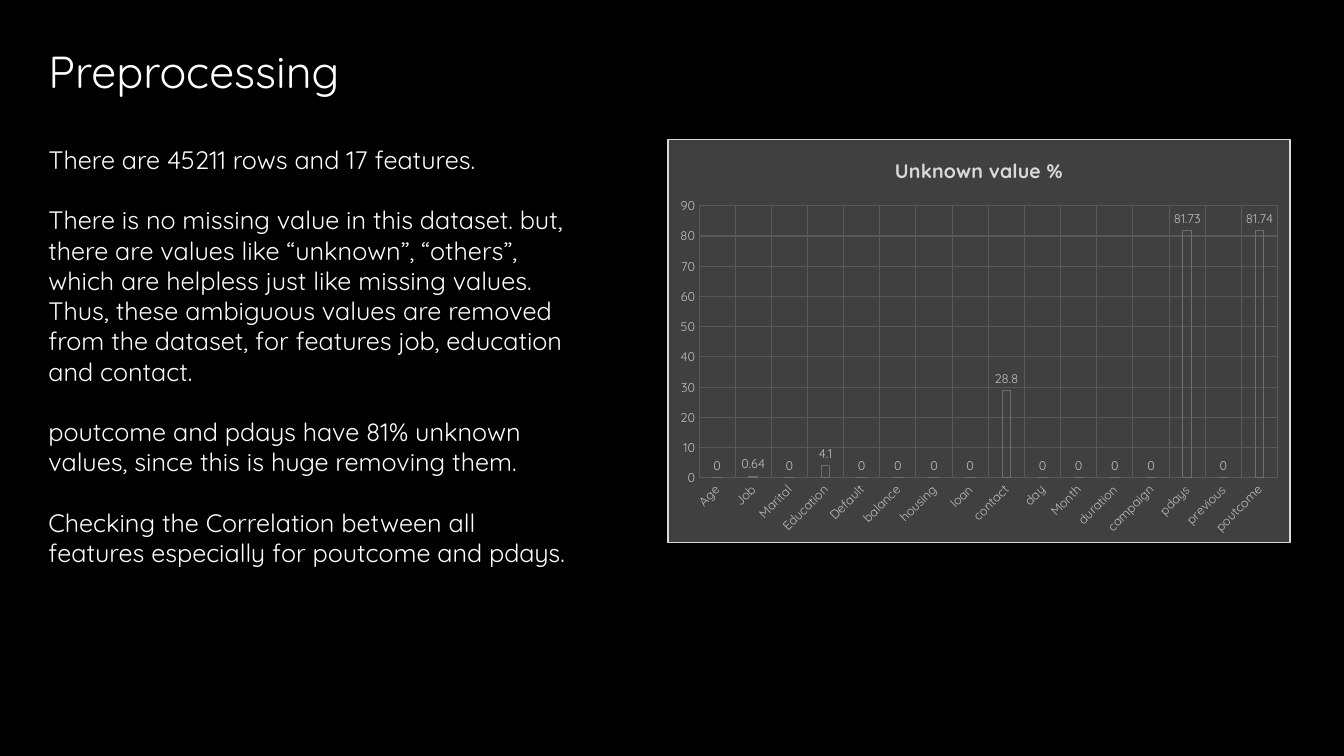
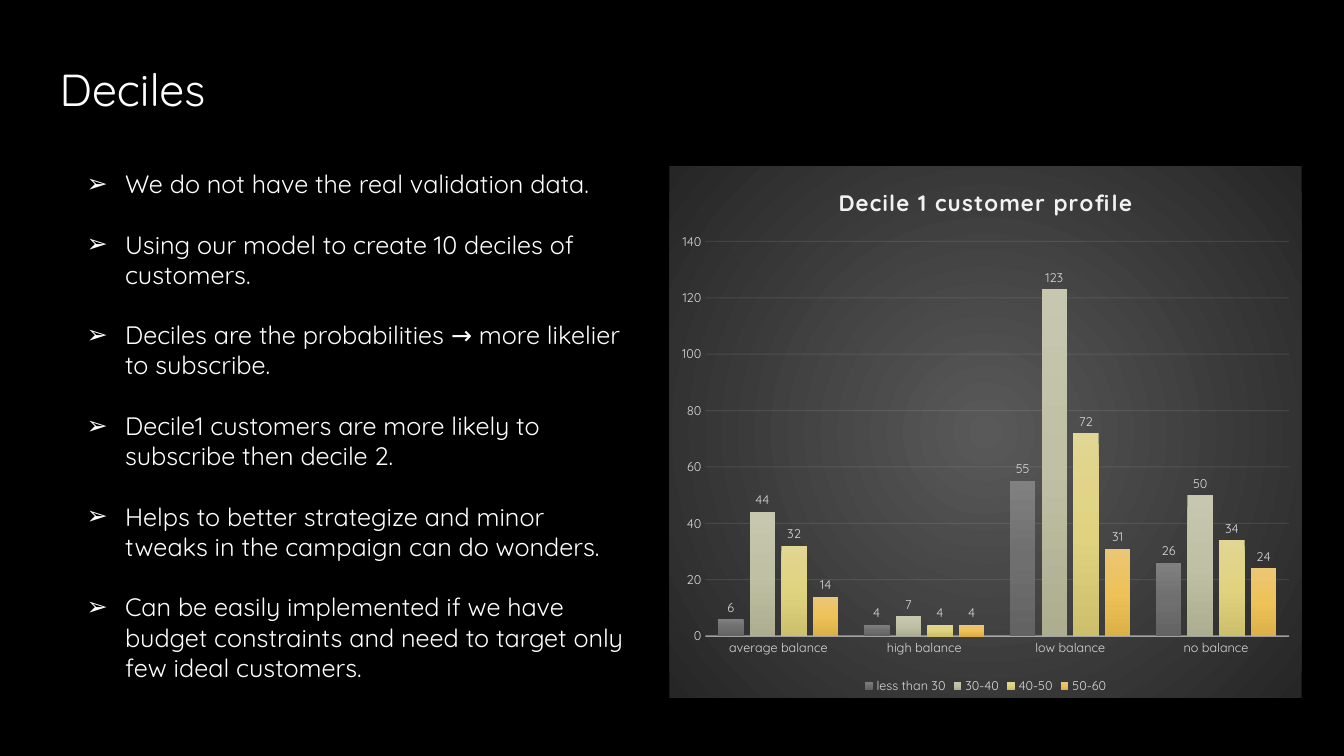
"""Build two dark slides, each with a title, a text column and a column chart."""
from dataclasses import dataclass

from pptx import Presentation
from pptx import oxml
from pptx import util as u
from pptx.chart import data as cd
from pptx.chart.chart import Chart
from pptx.dml.color import RGBColor
from pptx.dml.line import LineFormat
from pptx.enum import chart as ch, text
from pptx.oxml import ns

FONT = "Quicksand"
COLORS = {
    "background": "000000",
    "text": "FFFFFF",
    "panel": "404040",
    "border": "D9D9D9",
    "grid": "595959",
    "outline": "6F6F6F",
    "muted": "BFBFBF",
    "light": "D9D9D9",
    "heading": "F2F2F2",
}
GLOW = ("595959", "262626")
BAR_GRADIENTS = [
    ("808080", "6F6F6F", "636363"),
    ("C7C7B0", "C0C0A4", "ADAD90"),
    ("E1D693", "E0D380", "CDC06C"),
    ("EBC675", "EEC258", "DBB046"),
]
LINEAR = '<a:lin ang="5400000" scaled="0"/>'
RADIAL = '<a:path path="circle"><a:fillToRect l="50000" t="50000" r="50000" b="50000"/></a:path>'


@dataclass
class Box:
    left: float
    top: float
    width: float
    height: float

    def inches(self) -> tuple[u.Length, ...]:
        return tuple(u.Inches(n) for n in (self.left, self.top, self.width, self.height))


@dataclass
class ChartSpec:
    box: Box
    title: str
    title_size: int
    title_color: str
    label_color: str
    categories: list[str]
    series: dict[str, list[float]]
    gap: int
    overlap: int
    top_value: int
    step: int


@dataclass
class SlideSpec:
    title: str
    title_box: Box
    body: list[str]
    body_box: Box
    bullet: str
    chart: ChartSpec


PREPROCESSING = SlideSpec(
    "Preprocessing",
    Box(0.38, 0.22, 9.8, 0.96),
    [
        "There are 45211 rows and 17 features.",
        "There is no missing value in this dataset. but, there are values like “unknown”, “others”, "
        "which are helpless just like missing values. Thus, these ambiguous values are removed "
        "from the dataset, for features job, education and contact.",
        "poutcome and pdays have 81% unknown values, since this is huge removing them.",
        "Checking the Correlation between all features especially for poutcome and pdays.",
    ],
    Box(0.38, 1.38, 5.38, 4.95),
    "",
    ChartSpec(
        Box(6.62, 1.38, 6.18, 4.01), "Unknown value %", 14, "light", "muted",
        ["Age", "Job", "Marital", "Education", "Default", "balance", "housing", "loan",
         "contact", "day", "Month", "duration", "campaign", "pdays", "previous", "poutcome"],
        {"Series 1": [0, 0.64, 0, 4.1, 0, 0, 0, 0, 28.8, 0, 0, 0, 0, 81.73, 0, 81.74]},
        315, -40, 90, 10,
    ),
)
DECILES = SlideSpec(
    "Deciles",
    Box(0.49, 0.45, 8.95, 0.86),
    [
        "We do not have the real validation data.",
        "Using our model to create 10 deciles of customers.",
        "Deciles are the probabilities → more likelier to subscribe.",
        "Decile1 customers are more likely to subscribe then decile 2.",
        "Helps to better strategize and minor tweaks in the campaign can do wonders.",
        "Can be easily implemented if we have budget constraints and need to target only "
        "few ideal customers.",
    ],
    Box(0.76, 1.62, 5.63, 6.16),
    "➢",
    ChartSpec(
        Box(6.64, 1.65, 6.27, 5.27), "Decile 1 customer profile", 16, "heading", "light",
        ["average balance", "high balance", "low balance", "no balance"],
        {
            "less than 30": [6, 4, 55, 26],
            "30-40": [44, 7, 123, 50],
            "40-50": [32, 4, 72, 34],
            "50-60": [14, 4, 31, 24],
        },
        100, -24, 140, 20,
    ),
)


def rgb(name: str) -> RGBColor:
    return RGBColor.from_string(COLORS[name])


def style_font(font, size: int, color: str, bold: bool = False) -> None:
    font.name, font.size, font.bold = FONT, u.Pt(size), bold
    font.color.rgb = rgb(color)


def style_line(line: LineFormat, color: str, width: float = 0.75, opacity: int = 100) -> None:
    line.color.rgb = rgb(color)
    line.width = u.Pt(width)
    if opacity < 100:
        clr = line._get_or_add_ln().find(".//" + ns.qn("a:srgbClr"))
        clr.append(oxml.parse_xml(f'<a:alpha {ns.nsdecls("a")} val="{opacity * 1000}"/>'))


def gradient_xml(colors: tuple[str, ...], direction: str) -> str:
    stops = "".join(
        f'<a:gs pos="{100000 * i // (len(colors) - 1)}"><a:srgbClr val="{c}"/></a:gs>'
        for i, c in enumerate(colors)
    )
    return f'<a:gradFill {ns.nsdecls("a")} rotWithShape="1"><a:gsLst>{stops}</a:gsLst>{direction}</a:gradFill>'


def set_panel(chart: Chart, fill: str, line: str) -> None:
    panel = oxml.parse_xml(f'<c:spPr {ns.nsdecls("c", "a")}>{fill}{line}</c:spPr>')
    chart._chartSpace.find(ns.qn("c:chart")).addnext(panel)


def place_text(sp, box: Box, lines: list[str], size: int, anchor: text.MSO_ANCHOR,
               bullet: str = "") -> None:
    sp.left, sp.top, sp.width, sp.height = box.inches()
    tf = sp.text_frame
    tf.text = "\n".join(lines)
    tf.word_wrap = True
    tf.auto_size = text.MSO_AUTO_SIZE.NONE
    tf.vertical_anchor = anchor
    for i, p in enumerate(tf.paragraphs):
        p.alignment = text.PP_ALIGN.LEFT
        p.space_before = u.Pt(21.6 if i else 0)
        indent = u.Inches(0.38 if bullet else 0)
        pPr = p._p.get_or_add_pPr()
        pPr.set("marL", str(indent))
        pPr.set("indent", str(-indent))
        mark = f'buChar {ns.nsdecls("a")} char="{bullet}"' if bullet else f'buNone {ns.nsdecls("a")}'
        pPr.append(oxml.parse_xml(f"<a:{mark}/>"))
        for r in p.runs:
            style_font(r.font, size, "text")


def add_column_chart(s, spec: ChartSpec) -> Chart:
    data = cd.CategoryChartData()
    data.categories = spec.categories
    for name, values in spec.series.items():
        data.add_series(name, values)
    chart = s.shapes.add_chart(ch.XL_CHART_TYPE.COLUMN_CLUSTERED, *spec.box.inches(), data).chart
    style_font(chart.font, 10, "text")
    chart.has_legend = False
    chart.has_title = True
    tf = chart.chart_title.text_frame
    tf.text = spec.title
    style_font(tf.paragraphs[0].runs[0].font, spec.title_size, spec.title_color, bold=True)
    chart.chart_title.include_in_layout = False

    for axis in (chart.category_axis, chart.value_axis):
        axis.major_tick_mark = axis.minor_tick_mark = ch.XL_TICK_MARK.NONE
        style_font(axis.tick_labels.font, 9, spec.label_color)
        axis.format.line.fill.background()
    chart.value_axis.minimum_scale = 0
    chart.value_axis.maximum_scale = spec.top_value
    chart.value_axis.major_unit = spec.step

    plot = chart.plots[0]
    plot.gap_width, plot.overlap, plot.vary_by_categories = spec.gap, spec.overlap, False
    for ser in plot.series:
        labels = ser.data_labels
        labels.show_value = True
        labels.position = ch.XL_LABEL_POSITION.OUTSIDE_END
        style_font(labels.font, 9, spec.label_color)
    return chart


def add_slide(prs, spec: SlideSpec) -> Chart:
    s = prs.slides.add_slide(prs.slide_layouts[1])
    place_text(s.shapes.title, spec.title_box, [spec.title], 32, text.MSO_ANCHOR.MIDDLE)
    place_text(s.placeholders[1], spec.body_box, spec.body, 18, text.MSO_ANCHOR.TOP, spec.bullet)
    return add_column_chart(s, spec.chart)


def style_outlined(chart: Chart) -> None:
    set_panel(
        chart,
        f'<a:solidFill><a:srgbClr val="{COLORS["panel"]}"/></a:solidFill>',
        f'<a:ln w="{u.Pt(0.75)}"><a:solidFill><a:srgbClr val="{COLORS["border"]}"/></a:solidFill></a:ln>',
    )
    for axis in (chart.category_axis, chart.value_axis):
        axis.has_major_gridlines = True
        style_line(axis.major_gridlines.format.line, "grid")
    chart.category_axis._element.find(ns.qn("c:txPr")).find(ns.qn("a:bodyPr")).set("rot", "-2700000")
    for ser in chart.plots[0].series:
        ser.format.fill.background()
        style_line(ser.format.line, "outline")


def style_glowing(chart: Chart) -> None:
    set_panel(chart, gradient_xml(GLOW, RADIAL), "<a:ln><a:noFill/></a:ln>")
    chart.chart_title.text_frame.paragraphs[0].runs[0].font._element.set("spc", "100")
    style_line(chart.category_axis.format.line, "heading", 1, 54)
    style_line(chart.value_axis.major_gridlines.format.line, "heading", 0.75, 10)
    chart.has_legend = True
    chart.legend.position = ch.XL_LEGEND_POSITION.BOTTOM
    chart.legend.include_in_layout = False
    style_font(chart.legend.font, 9, "light")
    for ser, colors in zip(chart.plots[0].series, BAR_GRADIENTS):
        ser._element.get_or_add_spPr().insert(0, oxml.parse_xml(gradient_xml(colors, LINEAR)))


def main() -> None:
    prs = Presentation()
    prs.slide_width, prs.slide_height = u.Inches(13.33), u.Inches(7.5)
    fill = prs.slide_master.background.fill
    fill.solid()
    fill.fore_color.rgb = rgb("background")
    style_outlined(add_slide(prs, PREPROCESSING))
    style_glowing(add_slide(prs, DECILES))
    prs.save("out.pptx")


if __name__ == "__main__":
    main()
